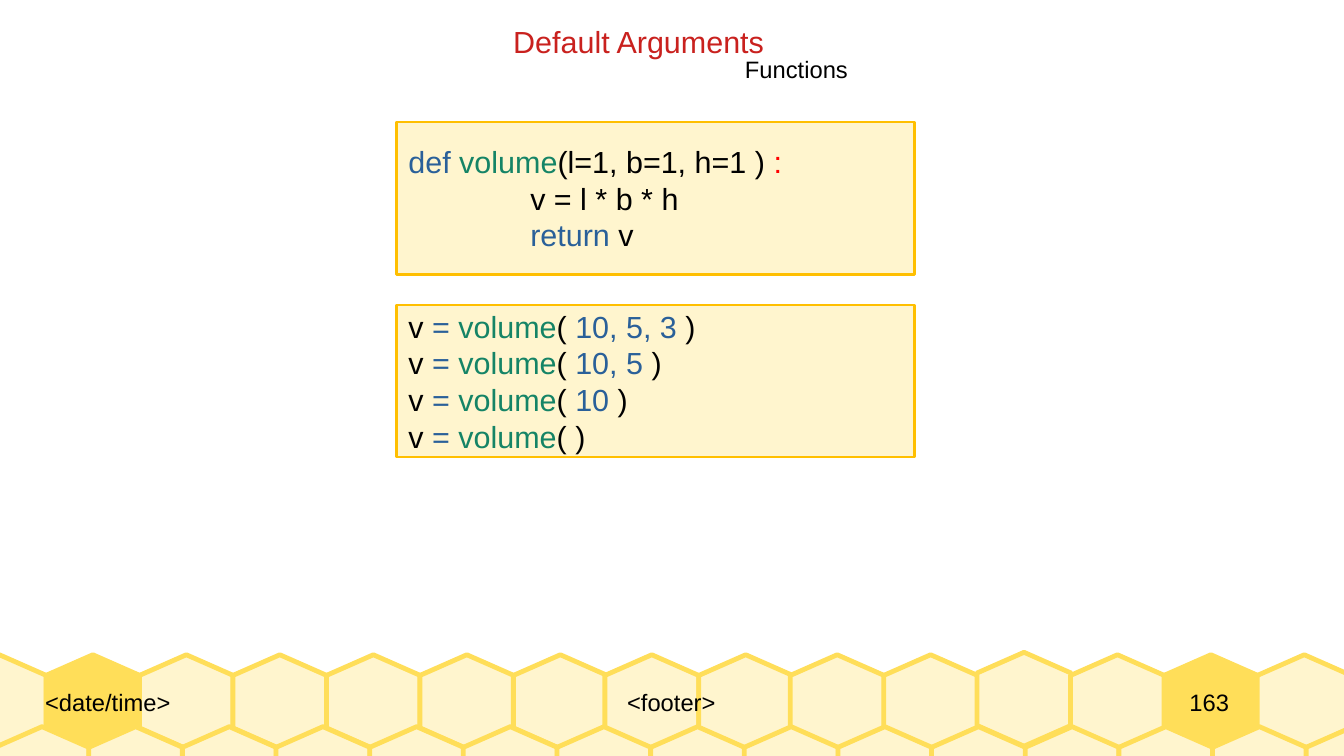
from dataclasses import dataclass

from lxml import etree
from pptx import Presentation
from pptx.dml.color import RGBColor
from pptx.enum.shapes import MSO_SHAPE
from pptx.enum.text import MSO_ANCHOR, PP_ALIGN
from pptx.oxml.ns import qn
from pptx.util import Inches, Pt

RECTANGLE = MSO_SHAPE.RECTANGLE
TOP, MIDDLE = MSO_ANCHOR.TOP, MSO_ANCHOR.MIDDLE
LEFT, CENTER = PP_ALIGN.LEFT, PP_ALIGN.CENTER


@dataclass(frozen=True)
class Theme:
    font: str = "Arial"
    large: float = 18
    small: float = 14
    text: str = "000000"
    title: str = "C9211E"
    keyword: str = "2A6099"
    function: str = "158466"
    colon: str = "FF0000"
    cream: str = "FFF5CE"
    honey: str = "FFDE59"
    code_border: str = "FFBF00"
    honey_width: float = 2.83
    code_width: float = 1.42


THEME = Theme()
Piece = tuple[str, str]  # wording and colour
Line = list[Piece]


@dataclass(frozen=True)
class CellRow:
    """Evenly spaced honeycomb cells, from first left edge to last."""
    first: float
    last: float
    count: int
    top: float
    filled: tuple[int, ...] = ()
    raised: tuple[int, ...] = ()


@dataclass(frozen=True)
class Label:
    words: str
    box: tuple[float, float, float, float]
    size: float = THEME.small
    color: str = THEME.text
    align: PP_ALIGN = LEFT
    anchor: MSO_ANCHOR = MIDDLE
    inset: tuple[float, float] = (0, 0)


@dataclass(frozen=True)
class CodeBox:
    top: float
    lines: list[Line]


# Honeycomb geometry
CELL_WIDTH, CELL_HEIGHT = 0.77, 0.77
SHOULDER, HIP = 0.17, 0.6
LIFT = 0.02
UPPER, LOWER = 5.37, 5.96
HONEYCOMB = [
    CellRow(-0.39, 4.21, 7, UPPER, filled=(1,)),
    CellRow(4.96, 5.73, 2, UPPER),
    CellRow(6.48, 10.31, 6, UPPER, filled=(4,), raised=(2,)),
    CellRow(-0.04, 10.71, 15, LOWER),
]

# Footer and headings
TEXT_INSET = (0.1, 0.05)
LABELS = [
    Label("<date/time>", (0.37, UPPER, 2.63, CELL_HEIGHT)),
    Label("<footer>", (3, UPPER, 5.01, CELL_HEIGHT), align=CENTER),
    Label("163", (9.29, UPPER, 1.25, CELL_HEIGHT), align=CENTER),
    Label("Default Arguments", (4.11, 0.14, 2.64, 0.38), THEME.large,
          THEME.title, anchor=TOP, inset=TEXT_INSET),
    Label("Functions", (6.01, 0.4, 1.14, 0.32), anchor=TOP, inset=TEXT_INSET),
]

# Code listings
CODE_LEFT, CODE_WIDTH, CODE_HEIGHT, CODE_TAB = 3.25, 4.25, 1.25, 1
DEFINITION: list[Line] = [
    [("def ", THEME.keyword), ("volume", THEME.function),
     ("(l=1, b=1, h=1 ) ", THEME.text), (":", THEME.colon)],
    [("\tv = l * b * h", THEME.text)],
    [("\t", THEME.text), ("return", THEME.keyword), (" v", THEME.text)],
]


def call_line(arguments: str) -> Line:
    start = [("v", THEME.text), (" = ", THEME.keyword), ("volume", THEME.function)]
    if not arguments:
        return start + [("( )", THEME.text)]
    return start + [("(", THEME.text), (f" {arguments} ", THEME.keyword),
                    (")", THEME.text)]


CALLS = [call_line(arguments) for arguments in ("10, 5, 3", "10, 5", "10", "")]
CODE_BOXES = [CodeBox(1, DEFINITION), CodeBox(2.5, CALLS)]


def paint(shape, fill: str, border: str, width: float) -> None:
    shape.shadow.inherit = False
    shape.fill.solid()
    shape.fill.fore_color.rgb = RGBColor.from_string(fill)
    shape.line.color.rgb = RGBColor.from_string(border)
    shape.line.width = Pt(width)


def set_frame(frame, anchor: MSO_ANCHOR, inset: tuple[float, float]) -> None:
    side, edge = (Inches(length) for length in inset)
    settings = {
        "word_wrap": True, "vertical_anchor": anchor,
        "margin_left": side, "margin_right": side,
        "margin_top": edge, "margin_bottom": edge,
    }
    for name, value in settings.items():
        setattr(frame, name, value)


def write_line(paragraph, line: Line, size: float, align: PP_ALIGN) -> None:
    paragraph.alignment = align
    for words, color in line:
        run = paragraph.add_run()
        run.text = words
        for name, value in {"name": THEME.font, "size": Pt(size)}.items():
            setattr(run.font, name, value)
        run.font.color.rgb = RGBColor.from_string(color)


def add_tab_stop(paragraph, position: float) -> None:
    tabs = etree.SubElement(paragraph._p.get_or_add_pPr(), qn("a:tabLst"))
    etree.SubElement(tabs, qn("a:tab"), pos=str(Inches(position)), algn="l")


def draw_cell(slide, left: float, top: float, fill: str) -> None:
    middle, right = left + CELL_WIDTH / 2, left + CELL_WIDTH
    corners = [(middle, top), (left, top + SHOULDER), (left, top + HIP),
               (middle, top + CELL_HEIGHT), (right, top + HIP),
               (right, top + SHOULDER)]
    start, *rest = [(Inches(x), Inches(y)) for x, y in corners]
    outline = slide.shapes.build_freeform(*start)
    outline.add_line_segments(rest, close=True)
    paint(outline.convert_to_shape(), fill, THEME.honey, THEME.honey_width)


def draw_row(slide, row: CellRow) -> None:
    pitch = (row.last - row.first) / (row.count - 1)
    for index in range(row.count):
        top = row.top - LIFT if index in row.raised else row.top
        fill = THEME.honey if index in row.filled else THEME.cream
        draw_cell(slide, row.first + index * pitch, top, fill)


def draw_label(slide, label: Label) -> None:
    box = slide.shapes.add_textbox(*(Inches(length) for length in label.box))
    set_frame(box.text_frame, label.anchor, label.inset)
    write_line(box.text_frame.paragraphs[0], [(label.words, label.color)],
               label.size, label.align)


def draw_code(slide, code: CodeBox) -> None:
    panel = slide.shapes.add_shape(
        RECTANGLE, Inches(CODE_LEFT), Inches(code.top),
        Inches(CODE_WIDTH), Inches(CODE_HEIGHT))
    paint(panel, THEME.cream, THEME.code_border, THEME.code_width)
    frame = panel.text_frame
    set_frame(frame, MIDDLE, TEXT_INSET)
    for index, line in enumerate(code.lines):
        paragraph = frame.add_paragraph() if index else frame.paragraphs[0]
        add_tab_stop(paragraph, CODE_TAB)
        write_line(paragraph, line, THEME.large, LEFT)


def main() -> None:
    deck = Presentation()
    deck.slide_width, deck.slide_height = Inches(11.02), Inches(6.2)
    slide = deck.slides.add_slide(deck.slide_layouts[6])
    for row in HONEYCOMB:
        draw_row(slide, row)
    for label in LABELS:
        draw_label(slide, label)
    for code in CODE_BOXES:
        draw_code(slide, code)
    deck.save("out.pptx")


if __name__ == "__main__":
    main()
